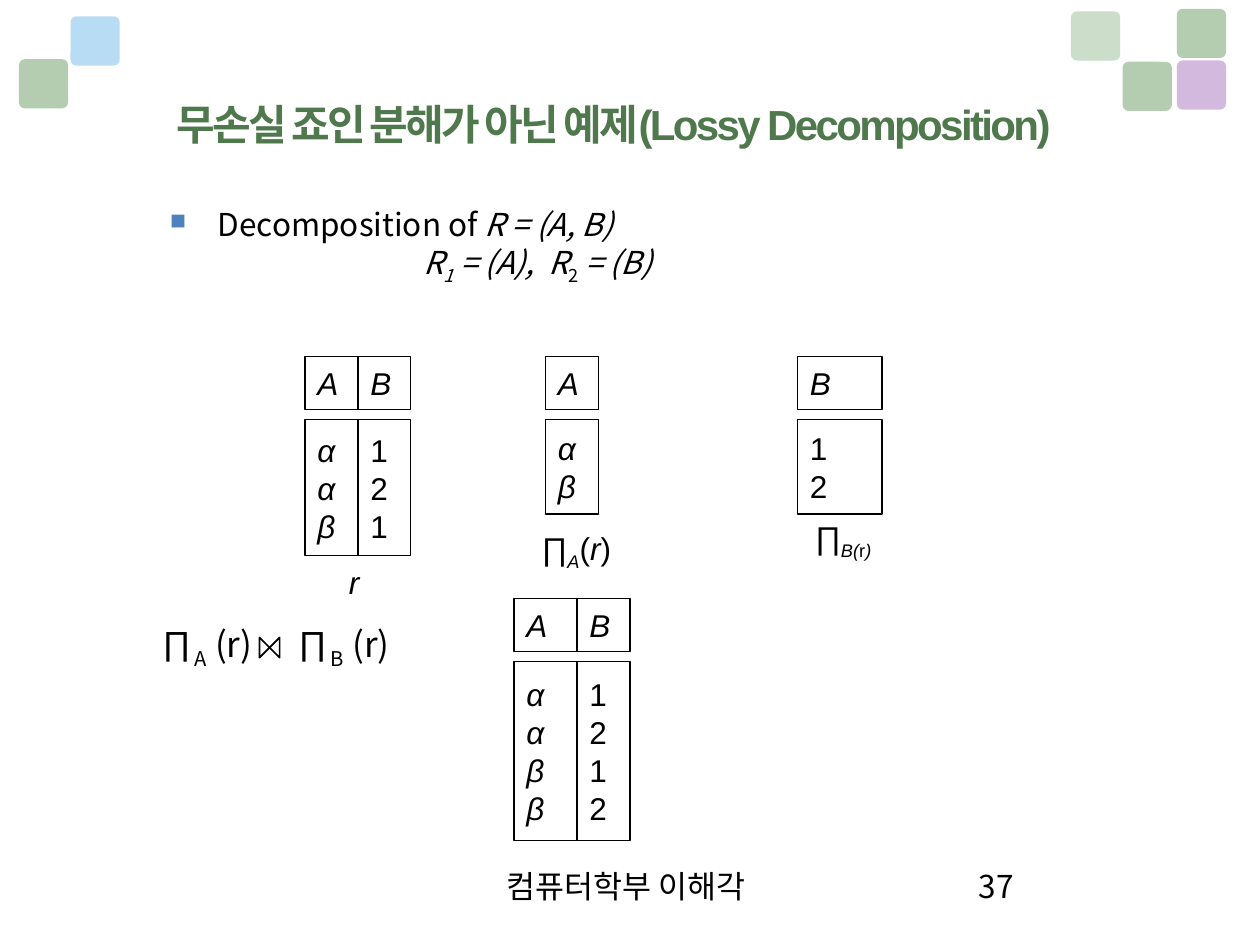
from lxml.etree import SubElement
from pptx import Presentation
from pptx.dml.color import RGBColor
from pptx.enum.shapes import MSO_SHAPE as Preset
from pptx.enum.text import MSO_ANCHOR as Anchor
from pptx.oxml.ns import qn
from pptx.util import Inches, Pt

BLACK, WHITE, GREEN = "000000", "FFFFFF", "9BBD98"
SANS, KOREAN = "Arial", "Noto Sans CJK KR"
ITALIC = {"italic": True}
SUB = {"baseline": -25}
ITALIC_SUB = ITALIC | SUB


def color(value):
    return RGBColor.from_string(value)


def set_attributes(target, values):
    for name, value in values.items():
        setattr(target, name, value)


def add_run(paragraph, text, size=18, face=SANS, ink=BLACK, baseline=0, spacing=0, **style):
    run = paragraph.add_run()
    run.text = text
    set_attributes(run.font, {"size": Pt(size), "name": face} | style)
    run.font.color.rgb = color(ink)
    properties = run.font._element
    SubElement(properties, qn("a:ea")).set("typeface", KOREAN)
    if baseline:
        properties.set("baseline", str(baseline * 1000))
    if spacing:
        properties.set("spc", str(int(spacing * 100)))


def fill_frame(frame, lines, anchor=Anchor.TOP, wrap=True, **base):
    set_attributes(frame, {"word_wrap": wrap, "vertical_anchor": anchor})
    for index, line in enumerate(lines):
        paragraph = frame.paragraphs[0] if index == 0 else frame.add_paragraph()
        for text, style in line:
            add_run(paragraph, text, **(base | style))
    return frame.paragraphs


def add_text(slide, box, lines, **base):
    frame = slide.shapes.add_textbox(*map(Inches, box)).text_frame
    return fill_frame(frame, lines, **base)


def add_tile(slide, left, top, fill, opacity):
    side = Inches(0.39)
    tile = slide.shapes.add_shape(Preset.ROUNDED_RECTANGLE, Inches(left), Inches(top), side, side)
    tile.shadow.inherit = False
    tile.adjustments[0] = 0.12
    tile.fill.solid()
    tile.fill.fore_color.rgb = color(fill)
    tile.line.fill.background()
    fill_color = tile._element.spPr.find(qn("a:solidFill"))[0]
    SubElement(fill_color, qn("a:alpha")).set("val", str(opacity * 1000))


def add_cell(slide, box, values):
    cell = slide.shapes.add_shape(Preset.RECTANGLE, *map(Inches, box))
    cell.shadow.inherit = False
    cell.fill.solid()
    cell.fill.fore_color.rgb = color(WHITE)
    cell.line.color.rgb = color(BLACK)
    cell.line.width = Pt(0.75)
    lines = [[(value, {"italic": not value.isdigit()})] for value in values]
    for paragraph in fill_frame(cell.text_frame, lines, Anchor.MIDDLE):
        paragraph.alignment = 1


def add_relation(slide, left, top, body_height, columns):
    for name, width, values in columns:
        add_cell(slide, (left, top, width, 0.42), [name])
        add_cell(slide, (left, top + 0.5, width, body_height), values)
        left += width


def set_bullet(paragraph, symbol, ink, percent, indent):
    properties = paragraph._p.get_or_add_pPr()
    properties.set("marL", str(Inches(indent)))
    properties.set("indent", str(-Inches(indent)))
    bullet_color = SubElement(properties, qn("a:buClr"))
    SubElement(bullet_color, qn("a:srgbClr")).set("val", ink)
    SubElement(properties, qn("a:buSzPct")).set("val", str(percent * 1000))
    SubElement(properties, qn("a:buChar")).set("char", symbol)


def set_tab(paragraph, position):
    tabs = SubElement(paragraph._p.get_or_add_pPr(), qn("a:tabLst"))
    tab = SubElement(tabs, qn("a:tab"))
    tab.set("pos", str(Inches(position)))
    tab.set("algn", "l")


def add_join_sign(slide, left, top, side):
    right, bottom = left + side, top + side
    corners = [(left, bottom), (right, top), (right, bottom)]
    builder = slide.shapes.build_freeform(Inches(left), Inches(top), scale=1.0)
    builder.add_line_segments([tuple(map(Inches, corner)) for corner in corners], close=True)
    sign = builder.convert_to_shape()
    sign.shadow.inherit = False
    sign.fill.background()
    sign.line.color.rgb = color(BLACK)
    sign.line.width = Pt(1)


def add_decomposition(slide):
    lines = [
        [("Decomposition of ", {}), ("R = (A, B)", ITALIC)],
        [("R", ITALIC), ("1", ITALIC_SUB), (" = (A),  R", ITALIC), ("2", SUB), (" = (B)", ITALIC)],
    ]
    heading, parts = add_text(slide, (1.25, 1.58, 7.35, 0.95), lines, face=KOREAN)
    set_bullet(heading, "■", "4F81BD", 70, 0.38)
    parts._p.get_or_add_pPr().set("marL", str(Inches(2.01)))


def add_join(slide):
    line = [("∏", {}), ("A", SUB), (" (r)\t∏", {}), ("B", SUB), (" (r)", {})]
    formula = add_text(slide, (1.17, 4.89, 2.75, 0.95), [line], size=20, face=KOREAN)[0]
    set_tab(formula, 1.08)
    add_join_sign(slide, 2.06, 5.06, 0.16)


def main():
    deck = Presentation()
    set_attributes(deck, {"slide_width": Inches(10), "slide_height": Inches(7.5)})
    slide = deck.slides.add_slide(deck.slide_layouts[6])

    tiles = [
        (9.34, 0.48, "C4A2D2", 75), (9.34, 0.07, GREEN, 75), (8.91, 0.49, GREEN, 75),
        (8.5, 0.09, GREEN, 51), (0.56, 0.13, "A1D1F1", 75), (0.15, 0.47, GREEN, 75),
    ]
    for tile in tiles:
        add_tile(slide, *tile)

    add_text(slide, (3.92, 6.83, 3.17, 0.5), [[("컴퓨터학부 이해각", {})]], face=KOREAN)
    add_text(slide, (7.67, 6.83, 2.08, 0.5), [[("37", {})]], face=KOREAN)
    title = "무손실 죠인 분해가 아닌 예제(Lossy Decomposition)"
    add_text(slide, (1.3, 0.36, 8.5, 1.25), [[(title, {})]], anchor=Anchor.MIDDLE,
             size=24, ink="4F784C", bold=True, spacing=-1.5)
    add_decomposition(slide)

    relations = [
        (2.42, 2.83, 1.08, [("A", 0.42, "ααβ"), ("B", 0.42, "121")]),
        (4.33, 2.83, 0.75, [("A", 0.42, "αβ")]),
        (6.33, 2.83, 0.75, [("B", 0.67, "12")]),
        (4.08, 4.75, 1.42, [("A", 0.5, "ααββ"), ("B", 0.42, "1212")]),
    ]
    for relation in relations:
        add_relation(slide, *relation)

    labels = [
        ((2.67, 4.42, 0.28, 0.4), [("r", ITALIC)]),
        ((4.2, 4.17, 0.77, 0.4), [("∏", {}), ("A", ITALIC_SUB), ("(", {}), ("r", ITALIC), (")", {})]),
        ((6.37, 4.08, 0.69, 0.4), [("∏", {}), ("B(", ITALIC_SUB), ("r", SUB), (")", ITALIC_SUB)]),
    ]
    for box, line in labels:
        add_text(slide, box, [line], anchor=Anchor.MIDDLE, wrap=False)
    add_join(slide)
    deck.save("out.pptx")


if __name__ == "__main__":
    main()
